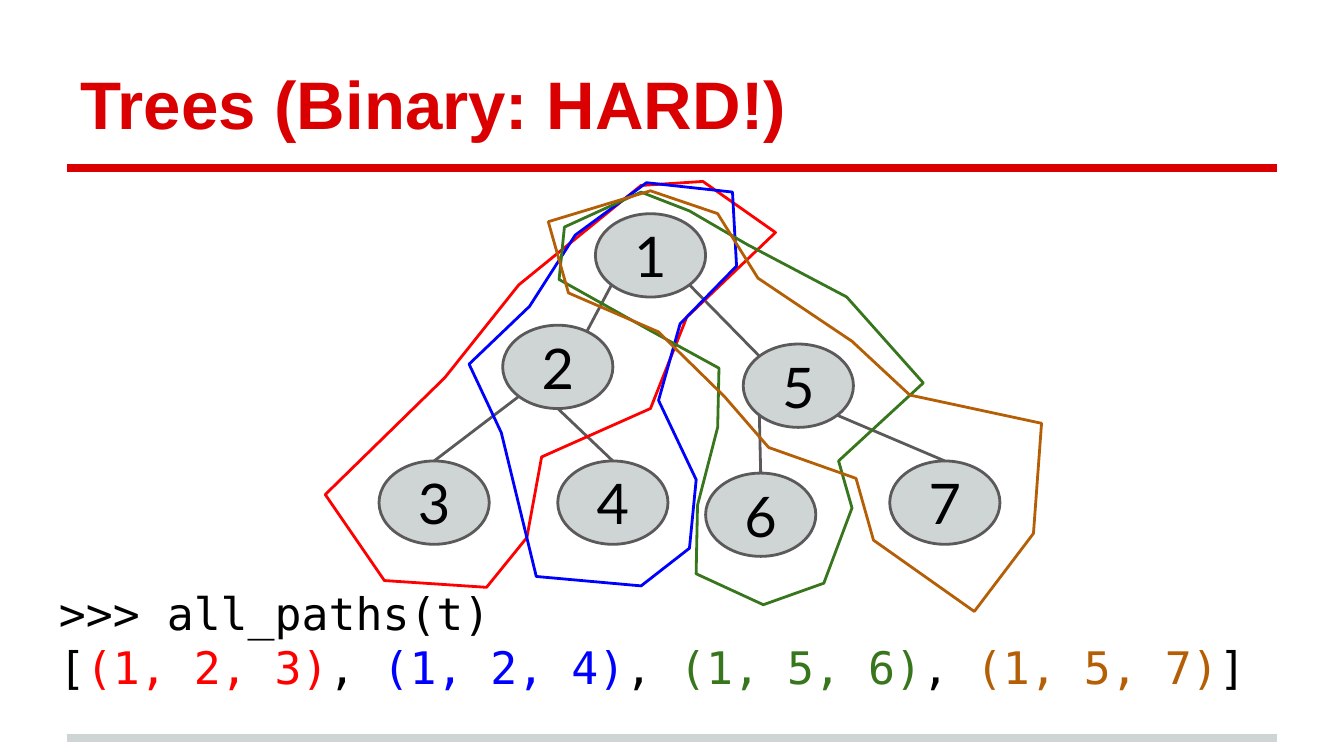
from lxml import etree
from pptx import Presentation
from pptx.dml.color import RGBColor
from pptx.enum.shapes import MSO_CONNECTOR, MSO_SHAPE
from pptx.enum.text import MSO_ANCHOR, MSO_AUTO_SIZE, PP_ALIGN
from pptx.oxml.ns import qn
from pptx.util import Cm, Pt

STRAIGHT = MSO_CONNECTOR.STRAIGHT
OVAL = MSO_SHAPE.OVAL
NO_AUTOFIT = MSO_AUTO_SIZE.NONE
LEFT, CENTER = PP_ALIGN.LEFT, PP_ALIGN.CENTER
TOP, MIDDLE, BOTTOM = MSO_ANCHOR.TOP, MSO_ANCHOR.MIDDLE, MSO_ANCHOR.BOTTOM

TITLE_RED = RGBColor(0xDA, 0x00, 0x02)
PALE_GRAY = RGBColor(0xCF, 0xD4, 0xD4)
DARK_GRAY = RGBColor(0x5B, 0x59, 0x5A)
BLACK = RGBColor(0x00, 0x00, 0x00)
RED = RGBColor(0xFF, 0x00, 0x00)
BLUE = RGBColor(0x00, 0x00, 0xFF)
GREEN = RGBColor(0x38, 0x76, 0x1D)
BROWN = RGBColor(0xB4, 0x5F, 0x06)

CM_PER_INCH = 2.54
NODE_WIDTH, NODE_HEIGHT = 0.82, 0.62


def lengths(*inches):
    """Convert measures in inches to slide lengths."""
    return [Cm(value * CM_PER_INCH) for value in inches]


def write_text(shape, paragraphs, anchor, alignment, font_format):
    """Fill a shape with paragraphs, each a list of (text, colour) runs."""
    frame = shape.text_frame
    frame_format = {"word_wrap": True, "auto_size": NO_AUTOFIT,
                    "vertical_anchor": anchor}
    for side in ("left", "top", "right", "bottom"):
        frame_format["margin_" + side] = Cm(0.25)
    for name, value in frame_format.items():
        setattr(frame, name, value)
    for index, runs in enumerate(paragraphs):
        paragraph = frame.add_paragraph() if index else frame.paragraphs[0]
        paragraph.alignment = alignment
        for text, color in runs:
            run = paragraph.add_run()
            run.text = text
            run.font.color.rgb = color
            for name, value in font_format.items():
                setattr(run.font, name, value)


presentation = Presentation()
presentation.slide_width = Cm(25.4)
presentation.slide_height = presentation.slide_width * 9 // 16
slide = presentation.slides.add_slide(presentation.slide_layouts[5])
shapes = slide.shapes

# Title
title = shapes.title
title.left, title.top, title.width, title.height = lengths(0.5, 0.6, 9, 0.56)
write_text(title, [[("Trees (Binary: HARD!)", TITLE_RED)]], BOTTOM, LEFT,
           {"name": "Arial", "size": Pt(36), "bold": True})

# Tree nodes: label and top left corner
nodes = [
    ("1", 4.43, 1.59), ("2", 3.74, 2.42), ("5", 5.53, 2.56),
    ("3", 2.82, 3.43), ("4", 4.15, 3.43), ("6", 5.25, 3.52), ("7", 6.62, 3.43),
]
for label, left, top in nodes:
    node = shapes.add_shape(OVAL, *lengths(left, top, NODE_WIDTH, NODE_HEIGHT))
    node.shadow.inherit = False
    node.fill.solid()
    node.fill.fore_color.rgb = PALE_GRAY
    node.line.color.rgb = DARK_GRAY
    node.line.width = Pt(1.5)
    write_text(node, [[(label, BLACK)]], MIDDLE, CENTER,
               {"name": "Lato", "size": Pt(30)})

# Rules and tree edges: start, end, colour, width
lines = [
    (0.5, 5.49, 9.5, 5.49, PALE_GRAY, 4),
    (0.5, 1.25, 9.5, 1.25, TITLE_RED, 4),
]
edges = [
    (4.55, 2.12, 4.37, 2.46), (5.13, 2.12, 5.65, 2.65),
    (3.86, 2.95, 3.23, 3.43), (4.15, 3.04, 4.56, 3.43),
    (5.65, 3.09, 5.66, 3.52), (6.23, 3.09, 7.03, 3.43),
]
lines += [(*edge, DARK_GRAY, 1.5) for edge in edges]
for *ends, color, width in lines:
    connector = shapes.add_connector(STRAIGHT, *lengths(*ends))
    connector.line.color.rgb = color
    connector.line.width = Pt(width)
    etree.SubElement(connector.element.spPr, qn("a:effectLst"))

# Outlines around each path from root to leaf
outlines = [
    (RED, [(4.77, 1.38), (3.86, 2.12), (3.31, 2.81), (2.42, 3.68),
           (2.86, 4.32), (3.62, 4.37), (3.92, 4), (4.03, 3.4),
           (4.84, 3.04), (5.11, 2.36), (5.77, 1.73), (5.23, 1.35)]),
    (BLUE, [(4.81, 1.36), (4.28, 1.75), (3.94, 2.28), (3.49, 2.71),
            (3.73, 3.22), (3.99, 4.29), (4.77, 4.36), (5.13, 4.08),
            (5.18, 3.57), (4.9, 2.98), (5.06, 2.41), (5.48, 1.98),
            (5.45, 1.43)]),
    (GREEN, [(4.77, 1.43), (4.2, 1.69), (4.16, 2.08), (4.82, 2.45),
             (5.35, 2.74), (5.34, 3.18), (5.19, 3.76), (5.18, 4.27),
             (5.68, 4.5), (6.13, 4.34), (6.34, 3.78), (6.24, 3.43),
             (6.87, 2.85), (6.3, 2.21), (5.56, 1.82), (5.13, 1.57)]),
    (BROWN, [(4.84, 1.42), (4.08, 1.65), (4.23, 2.18), (4.9, 2.47),
             (5.39, 2.95), (5.72, 3.33), (6.37, 3.56), (6.5, 4.02),
             (7.25, 4.55), (7.69, 3.97), (7.75, 3.15), (6.77, 2.94),
             (6.34, 2.54), (5.64, 2.07), (5.34, 1.59)]),
]
for color, points in outlines:
    start, *rest = [lengths(*point) for point in points]
    builder = shapes.build_freeform(*start)
    builder.add_line_segments(rest, close=True)
    outline = builder.convert_to_shape()
    outline.shadow.inherit = False
    outline.fill.background()
    outline.line.color.rgb = color
    outline.line.width = Pt(1.5)

# Code with each result in the colour of its outline
results = [("[", BLACK)]
for text, color in [("(1, 2, 3)", RED), ("(1, 2, 4)", BLUE),
                    ("(1, 5, 6)", GREEN), ("(1, 5, 7)", BROWN)]:
    results += [(text, color), (", ", BLACK)]
results[-1] = ("]", BLACK)
code = shapes.add_textbox(*lengths(0.34, 4.26, 9.31, 0.84))
write_text(code, [[(">>> all_paths(t)", BLACK)], results], TOP, LEFT,
           {"name": "DejaVu Sans Mono", "size": Pt(24)})

presentation.save("out.pptx")
